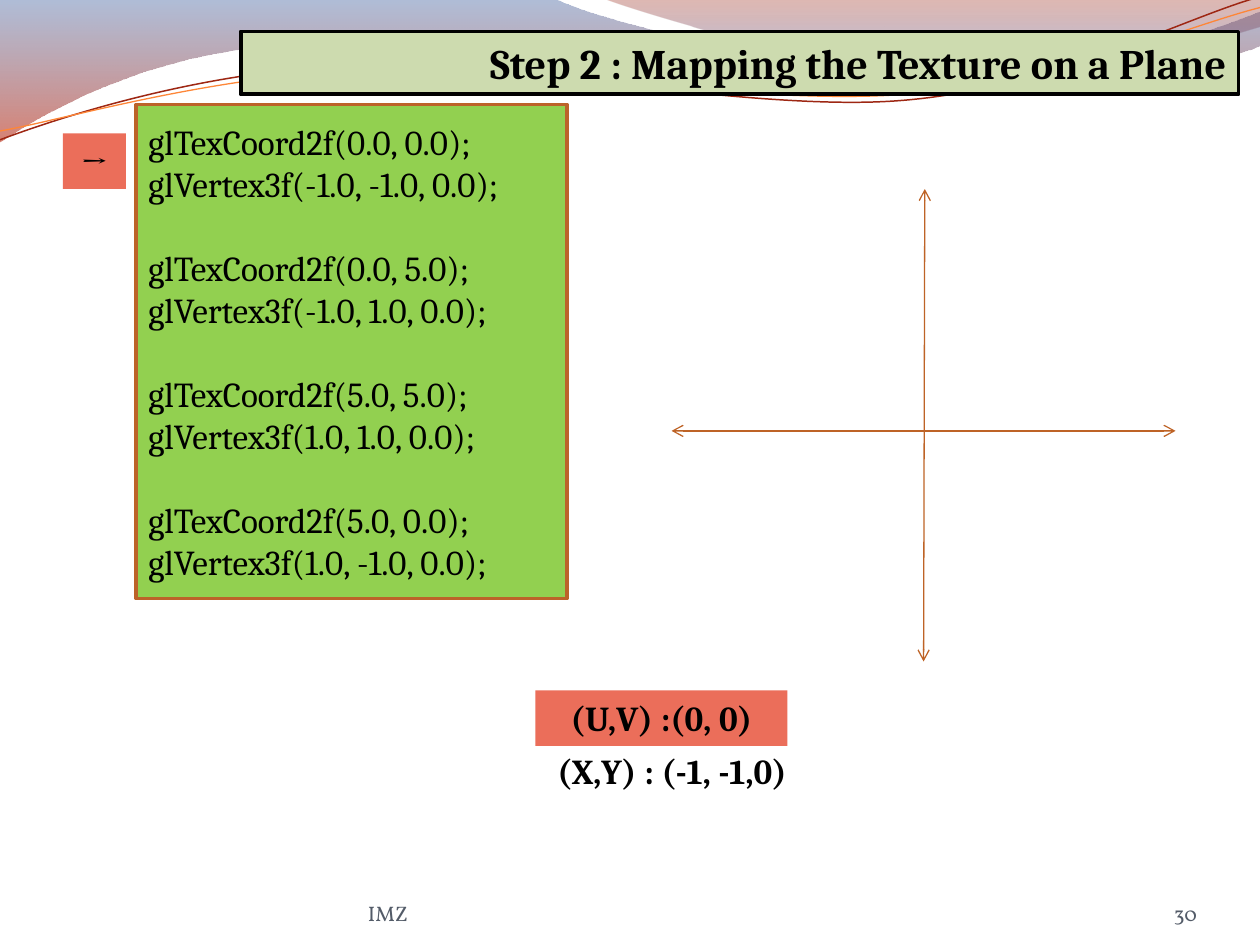
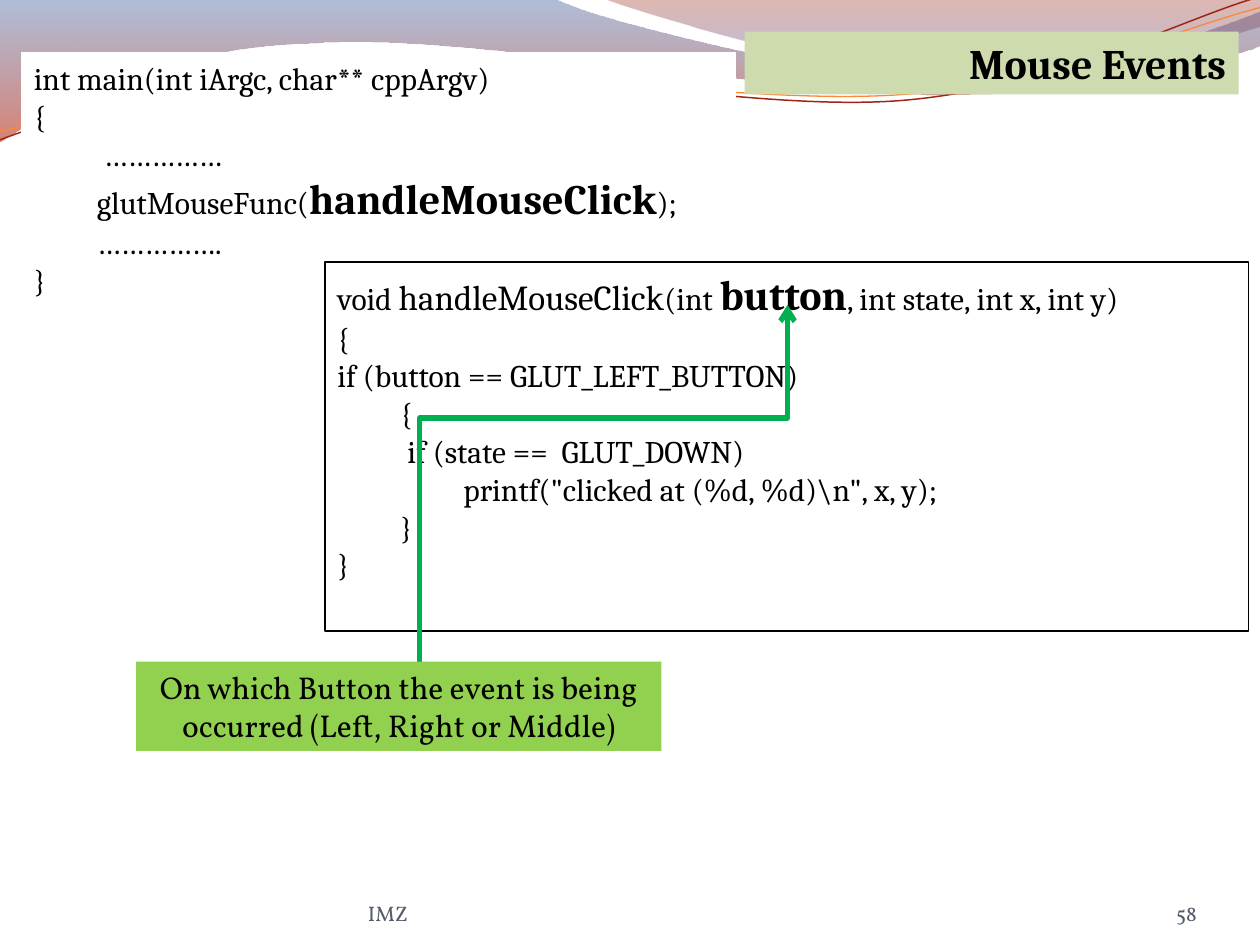
from lxml import etree
from pptx import Presentation
from pptx.dml.color import RGBColor
from pptx.enum.shapes import MSO_CONNECTOR as Link, MSO_SHAPE as Preset
from pptx.enum.text import MSO_ANCHOR as Anchor, MSO_AUTO_SIZE as AutoSize, PP_ALIGN as Align
from pptx.oxml.ns import qn
from pptx.util import Inches, Pt


class Theme:
    serif = "Cambria"
    body = "Vollkorn"
    black = "000000"
    white = "FFFFFF"
    title_fill = "CDDBAF"
    lime = "92D050"
    coral = "EB6E5A"
    rust = "BC6329"
    axis = "BE6326"
    pointer = "00B050"
    footer = "535B68"
    title_size = 24
    label_size = 20
    code_size = 18
    footer_size = 12


WAVE_FILLS = [
    {"start": (0, 0),
     "steps": [
         [(4.4, -0.01)],
         [(4.76, 0.17), (6.64, 0.63), (7.58, 0.63)],
         [(8.53, 0.63), (9.58, 0.26), (10, 0.09)],
         [(10.01, 0.36)],
         [(9.83, 0.44), (8.7, 0.76), (7.46, 0.75)],
         [(6.22, 0.75), (3.82, 0.28), (2.57, 0.34)],
         [(1.29, 0.36), (0.46, 0.83), (-0.01, 1.13)],
     ],
     "stops": [(0, "4F6EA8", 45), (1, "B61A00", 55)]},
    {"start": (4.79, -0.01),
     "steps": [
         [(5.09, 0.11), (6.82, 0.62), (7.69, 0.65)],
         [(8.56, 0.69), (9.61, 0.32), (10, 0.21)],
         [(10, 0)],
     ],
     "stops": [(0, "951500", 30), (0.8, "5681D1", 45)]},
]
WAVE_LINES = [
    {"start": (0, 1.11),
     "steps": [
         [(0.48, 0.93), (1.58, 0.57), (2.77, 0.52)],
         [(3.95, 0.47), (5.93, 0.89), (7.13, 0.8)],
         [(8.33, 0.71), (9.38, 0.15), (9.98, -0.02)],
     ],
     "line": ("9E2713", 0.85)},
    {"start": (0, 1.04),
     "steps": [
         [(0.47, 0.96), (1.64, 0.61), (2.83, 0.56)],
         [(4.03, 0.51), (5.97, 0.84), (7.17, 0.75)],
         [(8.36, 0.67), (9.41, 0.21), (10, 0.06)],
     ],
     "line": ("FE8637", 0.75)},
]

FOOTER = "IMZ"
TITLE_RIGHT = 9.83
TEXTURE_CORNERS = [
    ("glTexCoord2f(0.0, 0.0);", "glVertex3f(-1.0, -1.0, 0.0);"),
    ("glTexCoord2f(0.0, 5.0);", "glVertex3f(-1.0, 1.0, 0.0);"),
    ("glTexCoord2f(5.0, 5.0);", "glVertex3f(1.0, 1.0, 0.0);"),
    ("glTexCoord2f(5.0, 0.0);", "glVertex3f(1.0, -1.0, 0.0);"),
]
CORNER_LABELS = [
    ("→", (0.5, 1.06, 0.5, 0.44), Theme.coral),
    ("(X,Y) : (-1, -1,0)", (4.25, 5.9, 2.17, 0.44), None),
    ("(U,V) :(0, 0)", (4.25, 5.48, 2, 0.44), Theme.coral),
]
AXES = [((7.34, 1.5), (7.33, 5.25)), ((5.33, 3.42), (9.33, 3.42))]

MAIN_CODE = [
    (0, ["int main(int iArgc, char** cppArgv)"]),
    (0, ["{"]),
    (1, [" ……………"]),
    (1, ["glutMouseFunc(", ("handleMouseClick", 24, True), ");"]),
    (1, ["……………."]),
    (0, ["}"]),
]
HANDLER_CODE = [
    (0, ["void ", ("handleMouseClick", 20, False), "(int ",
         ("button", 24, True), ", int state, int x, int y)"]),
    (0, ["{"]),
    (0, ["if (button == GLUT_LEFT_BUTTON)"]),
    (1, ["{"]),
    (1, [" if (state ==  GLUT_DOWN)"]),
    (2, ["printf(\"clicked at (%d, %d)\\n\", x, y);"]),
    (1, ["}"]),
    (0, ["}"]),
]
BUTTON_NOTE = "On which Button the event is being occurred (Left, Right or Middle)"


def color(value):
    return RGBColor.from_string(value)


def paint(shape, fill=None, line=None):
    if fill:
        shape.fill.solid()
        shape.fill.fore_color.rgb = color(fill)
    else:
        shape.fill.background()
    if line:
        shape.line.color.rgb = color(line[0])
        shape.line.width = Pt(line[1])
    else:
        shape.line.fill.background()


def write(shape, lines, size, font=Theme.serif, bold=False, ink=Theme.black,
          align=Align.LEFT, anchor=Anchor.TOP):
    frame = shape.text_frame
    frame.word_wrap = True
    frame.auto_size = AutoSize.NONE
    frame.vertical_anchor = anchor
    for index, (level, spans) in enumerate(lines):
        para = frame.add_paragraph() if index else frame.paragraphs[0]
        para.alignment = align
        if level:
            properties = para._p.get_or_add_pPr()
            properties.set("marL", str(Inches(0.5 * level)))
            properties.set("indent", "0")
        for piece in spans:
            text, points, heavy = (piece, size, bold) if isinstance(piece, str) else piece
            span = para.add_run()
            span.text = text
            span.font.name = font
            span.font.size = Pt(points)
            span.font.bold = heavy
            span.font.color.rgb = color(ink)
    return frame


def add_box(page, place, lines, size, fill=None, line=None, **style):
    place = [Inches(length) for length in place]
    if fill:
        box = page.shapes.add_shape(Preset.RECTANGLE, *place)
        box.shadow.inherit = False
        paint(box, fill, line)
    else:
        box = page.shapes.add_textbox(*place)
    return write(box, lines, size, **style)


def add_arrow(page, kind, start, end, ink, width, ends):
    points = [Inches(length) for length in (*start, *end)]
    arrow = page.shapes.add_connector(kind, *points)
    arrow.line.color.rgb = color(ink)
    arrow.line.width = Pt(width)
    outline = arrow.line._get_or_add_ln()
    for end_name in ends:
        etree.SubElement(outline, qn(f"a:{end_name}"), type="arrow")
    etree.SubElement(arrow.element.spPr, qn("a:effectLst"))
    return arrow


def bend_segments(shape, steps):
    segments = iter(list(shape.element.iter(qn("a:lnTo"))))
    for step in steps:
        group = [next(segments) for _ in step]
        if len(group) == 3:
            curve = etree.Element(qn("a:cubicBezTo"))
            group[0].addprevious(curve)
            for segment in group:
                curve.append(segment[0])
                segment.getparent().remove(segment)


def add_wave(page, layout, wave):
    first, *rest = [(Inches(x), Inches(y))
                    for x, y in [wave["start"], *(point for step in wave["steps"] for point in step)]]
    builder = page.shapes.build_freeform(*first)
    builder.add_line_segments(rest, close="stops" in wave)
    shape = builder.convert_to_shape()
    bend_segments(shape, wave["steps"])
    shape.shadow.inherit = False
    paint(shape, line=wave.get("line"))
    if "stops" in wave:
        shape.fill.gradient()
        shape.fill.gradient_angle = 270
        for stop, (position, ink, _) in zip(shape.fill.gradient_stops, wave["stops"]):
            stop.position = position
            stop.color.rgb = color(ink)
        for tint, (_, _, opacity) in zip(shape.element.iter(qn("a:srgbClr")), wave["stops"]):
            etree.SubElement(tint, qn("a:alpha"), val=str(opacity * 1000))
    layout.shapes.element.append(shape.element)


def add_page(deck, layout, title, title_width, number, title_line=None):
    page = deck.slides.add_slide(layout)
    heading = page.shapes.title
    heading.left, heading.top = Inches(TITLE_RIGHT - title_width), Inches(0.25)
    heading.width, heading.height = Inches(title_width), Inches(0.5)
    paint(heading, Theme.title_fill, title_line)
    write(heading, [(0, [title])], Theme.title_size, bold=True, align=Align.RIGHT)
    for text, left, width, align in [(FOOTER, 2.92, 3.67, Align.LEFT),
                                     (number, 8.67, 0.83, Align.RIGHT)]:
        frame = add_box(page, (left, 6.95, width, 0.4), [(0, [text])], Theme.footer_size,
                        font=Theme.body, ink=Theme.footer, align=align, anchor=Anchor.BOTTOM)
        frame.margin_left = frame.margin_right = frame.margin_top = frame.margin_bottom = 0
    return page


def build_texture_page(deck, layout):
    page = add_page(deck, layout, "Step 2 : Mapping the Texture on a Plane", 7.92, "30",
                    (Theme.black, 2.25))
    code = [(0, [call]) for corner in TEXTURE_CORNERS for call in corner]
    frame = add_box(page, (1.08, 0.83, 3.42, 3.92), code, Theme.label_size,
                    Theme.lime, (Theme.rust, 2), anchor=Anchor.MIDDLE)
    for para in frame.paragraphs[2::2]:
        para.space_before = Pt(24)
    for start, end in AXES:
        add_arrow(page, Link.STRAIGHT, start, end, Theme.axis, 0.75, ("headEnd", "tailEnd"))
    for text, place, fill in CORNER_LABELS:
        add_box(page, place, [(0, [text])], Theme.label_size, fill,
                bold=True, align=Align.CENTER)
    return page


def build_mouse_page(deck, layout):
    page = add_page(deck, layout, " Mouse Events", 3.92, "58")
    add_box(page, (0.17, 0.42, 5.67, 2.02), MAIN_CODE, Theme.code_size,
            Theme.white, (Theme.white, 0.75))
    add_box(page, (2.58, 2.08, 7.33, 2.93), HANDLER_CODE, Theme.code_size,
            Theme.white, (Theme.black, 0.75))
    pointer = add_arrow(page, Link.ELBOW, (6.29, 5.38), (3.29, 2.46),
                        Theme.pointer, 3, ("tailEnd",))
    pointer.element.spPr.find(qn("a:xfrm")).set("rot", "5400000")
    guides = next(pointer.element.iter(qn("a:avLst")))
    etree.SubElement(guides, qn("a:gd"), name="adj1", fmla="val 70100")
    add_box(page, (1.08, 5.25, 4.17, 0.71), [(0, [BUTTON_NOTE])], Theme.code_size,
            Theme.lime, font=Theme.body, align=Align.CENTER)


def main():
    deck = Presentation()
    deck.slide_width, deck.slide_height = Inches(10), Inches(7.5)
    layout = deck.slide_layouts.get_by_name("Title Only")
    page = build_texture_page(deck, layout)
    for wave in WAVE_FILLS + WAVE_LINES:
        add_wave(page, layout, wave)
    build_mouse_page(deck, layout)
    deck.save("out.pptx")


if __name__ == "__main__":
    main()
